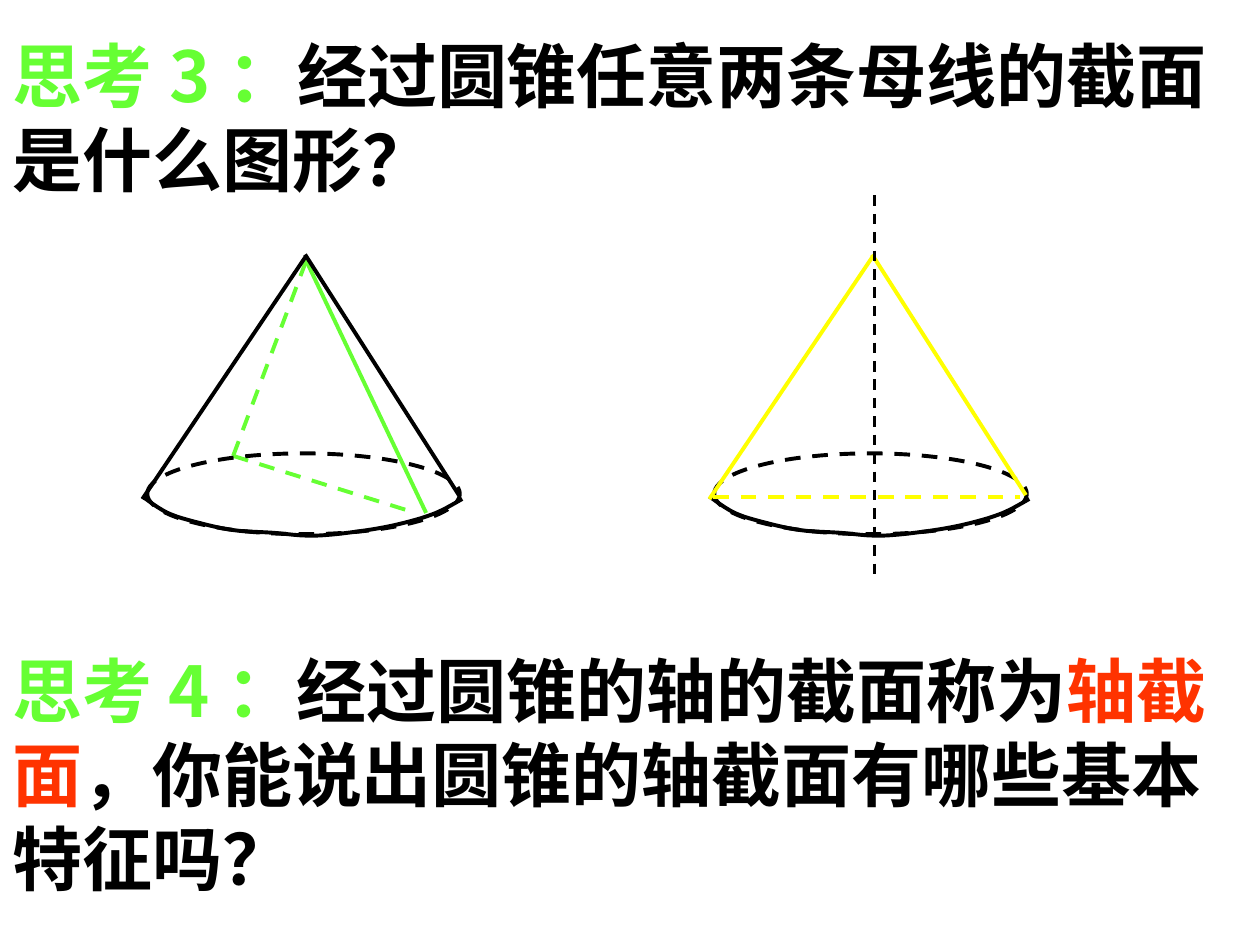
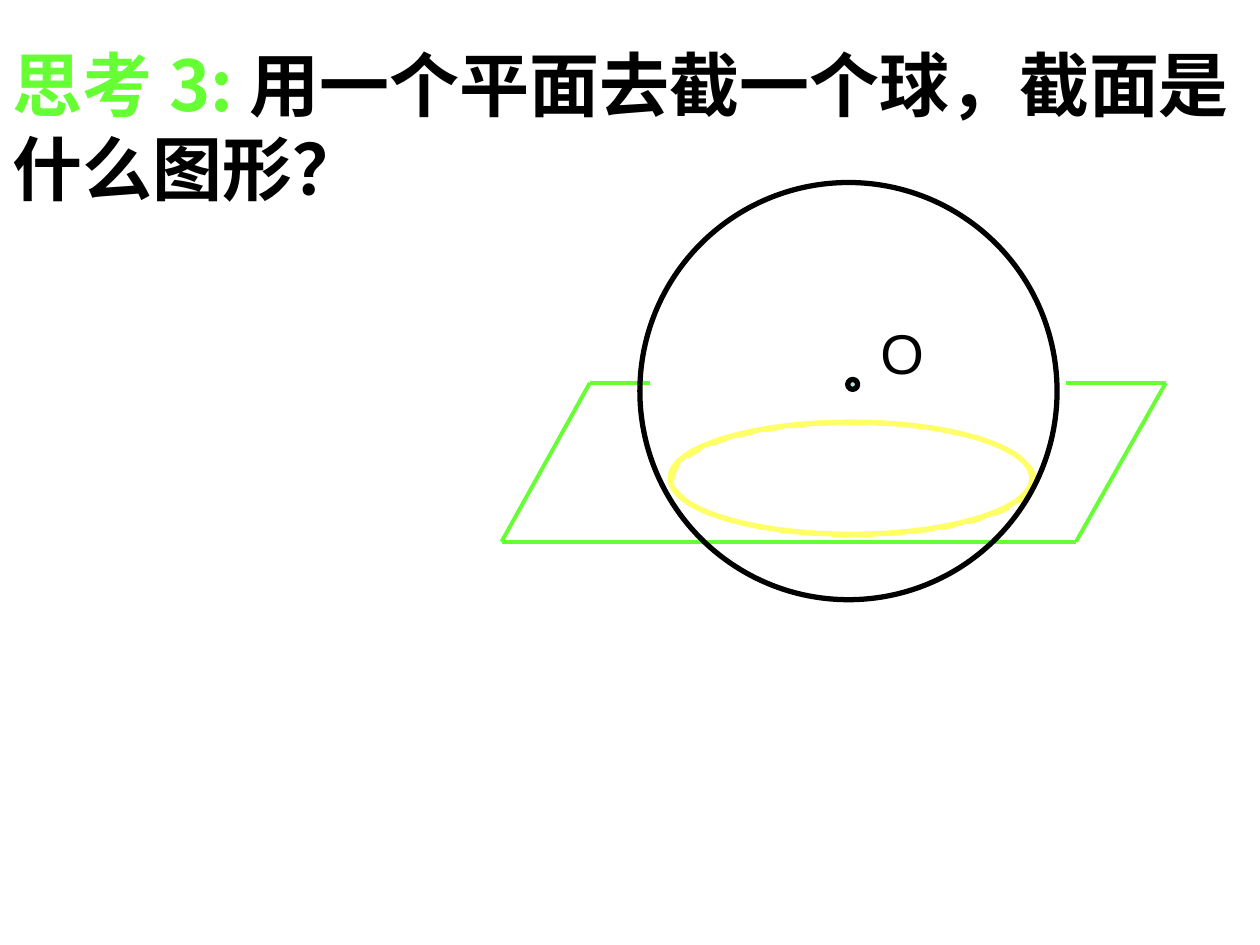
from dataclasses import dataclass

from lxml import etree
from pptx import Presentation
from pptx.dml.color import RGBColor
from pptx.enum.dml import MSO_LINE
from pptx.enum.shapes import MSO_CONNECTOR, MSO_SHAPE
from pptx.enum.text import MSO_ANCHOR, MSO_AUTO_SIZE, PP_ALIGN
from pptx.oxml.ns import qn
from pptx.util import Cm, Pt

DASH = MSO_LINE.DASH
STRAIGHT = MSO_CONNECTOR.STRAIGHT
OVAL = MSO_SHAPE.OVAL
TOP = MSO_ANCHOR.TOP
NO_AUTOFIT = MSO_AUTO_SIZE.NONE
LEFT, CENTER = PP_ALIGN.LEFT, PP_ALIGN.CENTER
TITLE_ONLY = 5


@dataclass(frozen=True)
class Theme:
    """Colours, fonts, type sizes and line widths of the deck."""

    ink: str = "000000"
    green: str = "66FF33"
    red: str = "FF3300"
    yellow: str = "FFFF00"
    pale_yellow: str = "FFFF66"
    pale_blue: str = "BBE0E3"
    chinese: str = "Noto Sans CJK SC"
    latin: str = "Arial"
    question_size: int = 40
    label_size: int = 32
    thin: float = 1.5
    medium: float = 2.25
    thick: float = 3


THEME = Theme()
RIM_NODES = [(0, 10.01), (0.51, 10.34), (1.14, 10.54), (1.85, 10.69), (2.62, 10.74),
             (3.48, 10.8), (4.52, 10.69), (5.28, 10.54), (5.92, 10.34), (6.45, 10.06)]


def add_span(para, text, color=THEME.ink, size=THEME.question_size, font=THEME.chinese, bold=True):
    """Add formatted text to a paragraph."""
    span = para.add_run()
    span.text = text
    span.font.size = Pt(size)
    span.font.bold = bold
    span.font.color.rgb = RGBColor.from_string(color)
    span.font.name = font
    east_asian = etree.SubElement(span.font._element, qn("a:ea"))
    east_asian.set("typeface", THEME.chinese)


def write_question(box, top, height, spans):
    """Place a full-width question and write its (text, format) spans."""
    box.left, box.top, box.width, box.height = Cm(0), Cm(top), Cm(25.4), Cm(height)
    frame = box.text_frame
    frame.word_wrap = True
    frame.auto_size = NO_AUTOFIT
    frame.vertical_anchor = TOP
    para = frame.paragraphs[0]
    para.alignment = LEFT
    for text, style in spans:
        add_span(para, text, **style)


def style_line(line, color, width, dash):
    """Set the colour, width and dash of an outline."""
    line.color.rgb = RGBColor.from_string(color)
    line.width = Pt(width)
    if dash:
        line.dash_style = dash


def add_line(shapes, start, end, color=THEME.ink, width=THEME.medium, dash=None):
    """Draw a straight line between two points in centimetres."""
    line = shapes.add_connector(STRAIGHT, *(Cm(value) for value in (*start, *end)))
    style_line(line.line, color, width, dash)
    etree.SubElement(line._element.spPr, qn("a:effectLst"))


def style_outline(shape, color, width, dash=None, fill=None):
    """Give a closed or open shape its outline and optional fill."""
    shape.shadow.inherit = False
    if fill:
        shape.fill.solid()
        shape.fill.fore_color.rgb = RGBColor.from_string(fill)
    else:
        shape.fill.background()
    style_line(shape.line, color, width, dash)


def add_ellipse(shapes, left, top, width, height, color=THEME.ink, weight=THEME.medium,
                dash=None, fill=None):
    """Draw an ellipse in centimetres."""
    ellipse = shapes.add_shape(OVAL, Cm(left), Cm(top), Cm(width), Cm(height))
    style_outline(ellipse, color, weight, dash, fill)


def smooth_points(nodes, steps=6):
    """Return points of a Catmull-Rom curve through the nodes."""
    padded = [nodes[0], *nodes, nodes[-1]]
    points = [nodes[0]]
    for before, start, end, after in zip(padded, padded[1:], padded[2:], padded[3:]):
        for step in range(1, steps + 1):
            t = step / steps
            points.append(tuple(
                0.5 * (2 * b + (c - a) * t + (2 * a - 5 * b + 4 * c - d) * t ** 2
                       + (3 * b - a - 3 * c + d) * t ** 3)
                for a, b, c, d in zip(before, start, end, after)))
    return points


def add_curve(shapes, nodes):
    """Draw an open smooth curve through nodes in centimetres."""
    points = [(Cm(x), Cm(y)) for x, y in smooth_points(nodes)]
    builder = shapes.build_freeform(*points[0])
    builder.add_line_segments(points[1:], close=False)
    style_outline(builder.convert_to_shape(), THEME.ink, THEME.medium)


def add_cone(shapes, left, side_color):
    """Draw a cone whose base starts at the given left edge."""
    add_ellipse(shapes, left + 0.1, 9.14, 6.3, 1.63, dash=DASH)
    add_curve(shapes, [(left + x, y) for x, y in RIM_NODES])
    add_line(shapes, (left + 3.3, 5.16), (left, 10.06), side_color)
    add_line(shapes, (left + 3.28, 5.13), (left + 6.38, 9.98), side_color)


def add_plane(shapes):
    """Draw the cutting plane, open where the sphere hides its far edge."""
    near_left, near_right = (10.11, 10.92), (21.69, 10.92)
    far_left, far_right = (11.89, 7.72), (23.5, 7.72)
    edges = [(near_left, near_right), (near_right, far_right), (near_left, far_left),
             ((21.49, 7.72), far_right), (far_left, (13.11, 7.72))]
    for start, end in edges:
        add_line(shapes, start, end, THEME.green)


def add_label(shapes, text, left, top, width, height):
    """Add a centred point label."""
    box = shapes.add_textbox(Cm(left), Cm(top), Cm(width), Cm(height))
    box.text_frame.word_wrap = False
    para = box.text_frame.paragraphs[0]
    para.alignment = CENTER
    add_span(para, text, size=THEME.label_size, font=THEME.latin, bold=False)


def build_cone_slide(deck):
    """Build the slide on sections of a cone."""
    slide = deck.slides.add_slide(deck.slide_layouts[TITLE_ONLY])
    write_question(slide.shapes.title, 0.53, 3.66, [
        ("思考3：", {"color": THEME.green}),
        ("经过圆锥任意两条母线的截面是什么图形？", {})])
    axis_question = slide.shapes.add_textbox(0, 0, 0, 0)
    write_question(axis_question, 12.93, 5.33, [
        ("思考4：", {"color": THEME.green}),
        ("经过圆锥的轴的截面称为", {}),
        ("轴截面", {"color": THEME.red, "font": THEME.latin}),
        ("，你能说出圆锥的轴截面有哪些基本特征吗？", {})])

    section = slide.shapes.add_group_shape().shapes
    back_point = (4.7, 9.19)
    add_line(section, (6.15, 5.21), (8.59, 10.34), THEME.green)
    add_line(section, back_point, (8.38, 10.34), THEME.green, dash=DASH)
    add_line(section, back_point, (6.22, 5.13), THEME.green, dash=DASH)
    add_cone(slide.shapes.add_group_shape().shapes, 2.87, THEME.ink)

    axial_cone = slide.shapes.add_group_shape().shapes
    add_cone(axial_cone, 14.3, THEME.yellow)
    add_line(axial_cone, (14.38, 10.01), (20.57, 10.01), THEME.yellow, dash=DASH)
    add_line(axial_cone, (17.63, 3.94), (17.63, 11.73), width=THEME.thin, dash=DASH)


def build_sphere_slide(deck):
    """Build the slide on sections of a sphere."""
    slide = deck.slides.add_slide(deck.slide_layouts[TITLE_ONLY])
    write_question(slide.shapes.title, 0.71, 3.66, [
        ("思考3:", {"color": THEME.green}),
        ("用一个平面去截一个球，截面是什么图形？", {})])

    section = slide.shapes.add_group_shape().shapes
    add_ellipse(section, 13.51, 8.51, 7.29, 2.26, THEME.pale_yellow, THEME.thick)
    add_ellipse(section, 13.56, 8.53, 7.29, 2.26, THEME.pale_yellow, dash=DASH)
    add_plane(slide.shapes.add_group_shape().shapes)

    sphere = slide.shapes.add_group_shape().shapes
    add_ellipse(sphere, 12.9, 3.68, 8.41, 8.41, weight=THEME.thick)
    add_label(sphere, "O", 17.5, 6.3, 1.37, 1.63)
    add_ellipse(sphere, 17.09, 7.65, 0.2, 0.2, weight=THEME.thick, fill=THEME.pale_blue)


def main():
    """Build and save the deck."""
    deck = Presentation()
    deck.slide_width, deck.slide_height = Cm(25.4), Cm(19.05)
    build_cone_slide(deck)
    build_sphere_slide(deck)
    deck.save("out.pptx")


if __name__ == "__main__":
    main()
